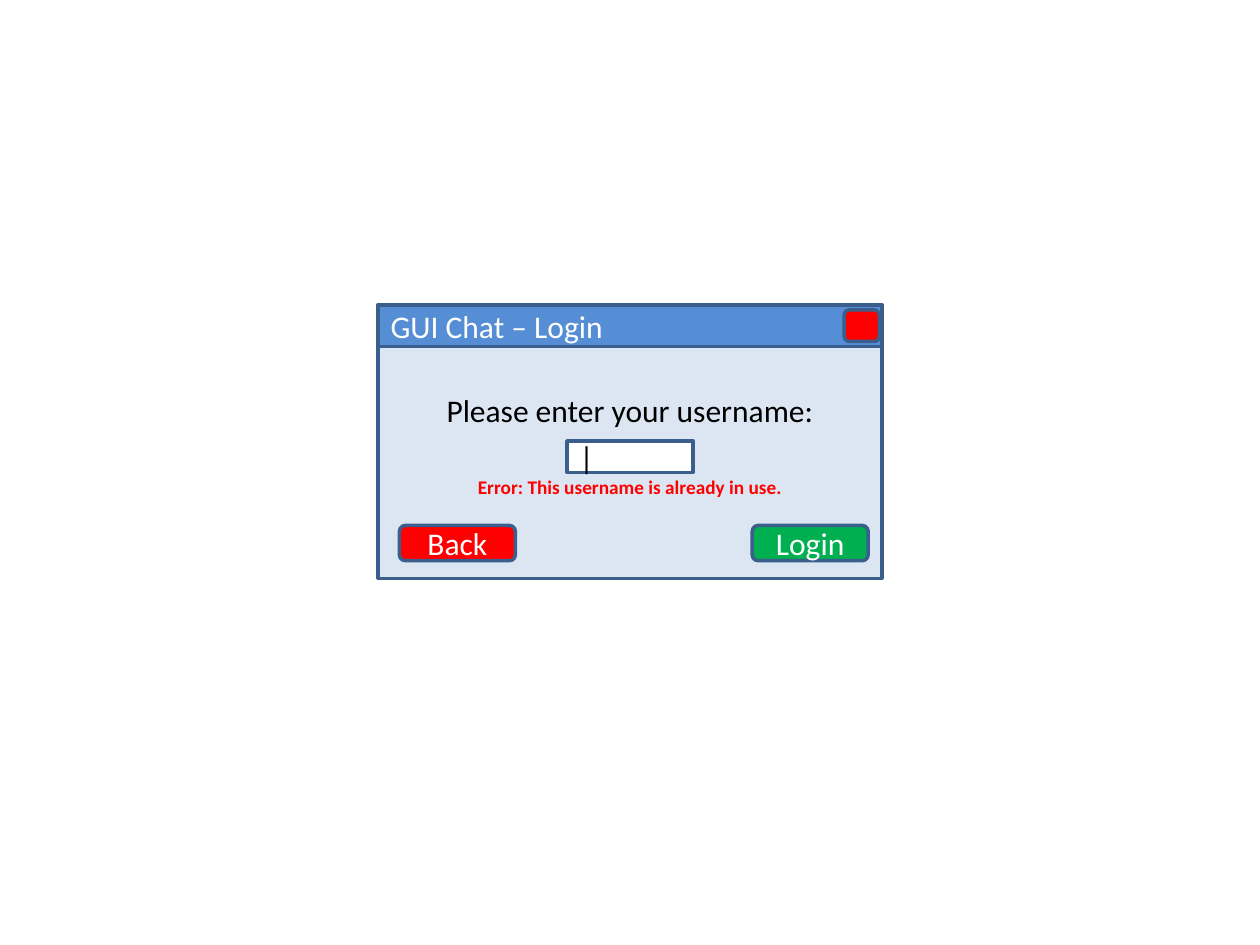
"""Builds the login window of a chat program with a username error."""
from pptx import Presentation
from pptx import util as u
from pptx.dml.color import RGBColor
from pptx.enum import shapes, text

COLORS = {"border": "3A5F8C", "frame": "DDD9C3", "bar": "558ED5", "panel": "DCE6F2",
          "red": "FF0000", "green": "00B050", "white": "FFFFFF", "black": "000000"}
TITLE = "GUI Chat – Login"
PROMPT = "Please enter your username:"
ERROR = "Error: This username is already in use."
CARET = "|"
BUTTONS = [("Login", "green", 5.97), ("Back", "red", 3.17)]

LEFT, TOP, WIDTH, HEIGHT = 3, 2.42, 4, 2.17
BAR_HEIGHT = 0.33
PANEL_TOP = TOP + BAR_HEIGHT
BUTTON_TOP, BUTTON_WIDTH, BUTTON_HEIGHT = 4.17, 0.92, 0.28
FIELD_WIDTH = 1
RECT, ROUND = shapes.MSO_SHAPE.RECTANGLE, shapes.MSO_SHAPE.ROUNDED_RECTANGLE
CENTER, START = text.PP_ALIGN.CENTER, text.PP_ALIGN.LEFT


def rgb(name):
    return RGBColor.from_string(COLORS[name])


def paint(part, fill):
    part.fill.solid()
    part.fill.fore_color.rgb = rgb(fill)
    part.line.color.rgb = rgb("border")
    part.line.width = u.Pt(2)


def add_part(kind, fill, left, top, width, height):
    part = slide.shapes.add_shape(kind, *map(u.Inches, (left, top, width, height)))
    part.shadow.inherit = False
    paint(part, fill)
    return part


def write(part, words, color="white", size=18, bold=False, align=CENTER,
          anchor=text.MSO_ANCHOR.MIDDLE, before=0, new=False):
    frame = part.text_frame
    frame.word_wrap = True
    frame.auto_size = text.MSO_AUTO_SIZE.NONE
    frame.vertical_anchor = anchor
    line = frame.add_paragraph() if new else frame.paragraphs[0]
    line.alignment = align
    line.space_before = u.Pt(before)
    run = line.add_run()
    run.text = words
    run.font.name, run.font.size, run.font.bold = "Calibri", u.Pt(size), bold
    run.font.color.rgb = rgb(color)


deck = Presentation()
deck.slide_width, deck.slide_height = u.Inches(10), u.Inches(7.5)
slide = deck.slides.add_slide(deck.slide_layouts.get_by_name("Title Only"))

add_part(RECT, "frame", LEFT, TOP, WIDTH, HEIGHT)

title_bar = slide.shapes.title
title_bar.left, title_bar.top = u.Inches(LEFT), u.Inches(TOP)
title_bar.width, title_bar.height = u.Inches(WIDTH), u.Inches(BAR_HEIGHT)
paint(title_bar, "bar")
write(title_bar, TITLE, align=START)
title_bar.element.getparent().append(title_bar.element)

add_part(ROUND, "red", 6.7, 2.46, 0.28, 0.25)

panel = add_part(RECT, "panel", LEFT, PANEL_TOP, WIDTH, HEIGHT - BAR_HEIGHT)
panel.text_frame.margin_top = u.Inches(0.35)
write(panel, PROMPT, color="black", anchor=text.MSO_ANCHOR.TOP)
write(panel, ERROR, color="red", size=11, bold=True, anchor=text.MSO_ANCHOR.TOP,
      before=27, new=True)

username = add_part(RECT, "white", LEFT + (WIDTH - FIELD_WIDTH) / 2, 3.5, FIELD_WIDTH, 0.25)
write(username, CARET, color="black", align=START)

for label, fill, left in BUTTONS:
    button = add_part(ROUND, fill, left, BUTTON_TOP, BUTTON_WIDTH, BUTTON_HEIGHT)
    write(button, label)

deck.save("out.pptx")
